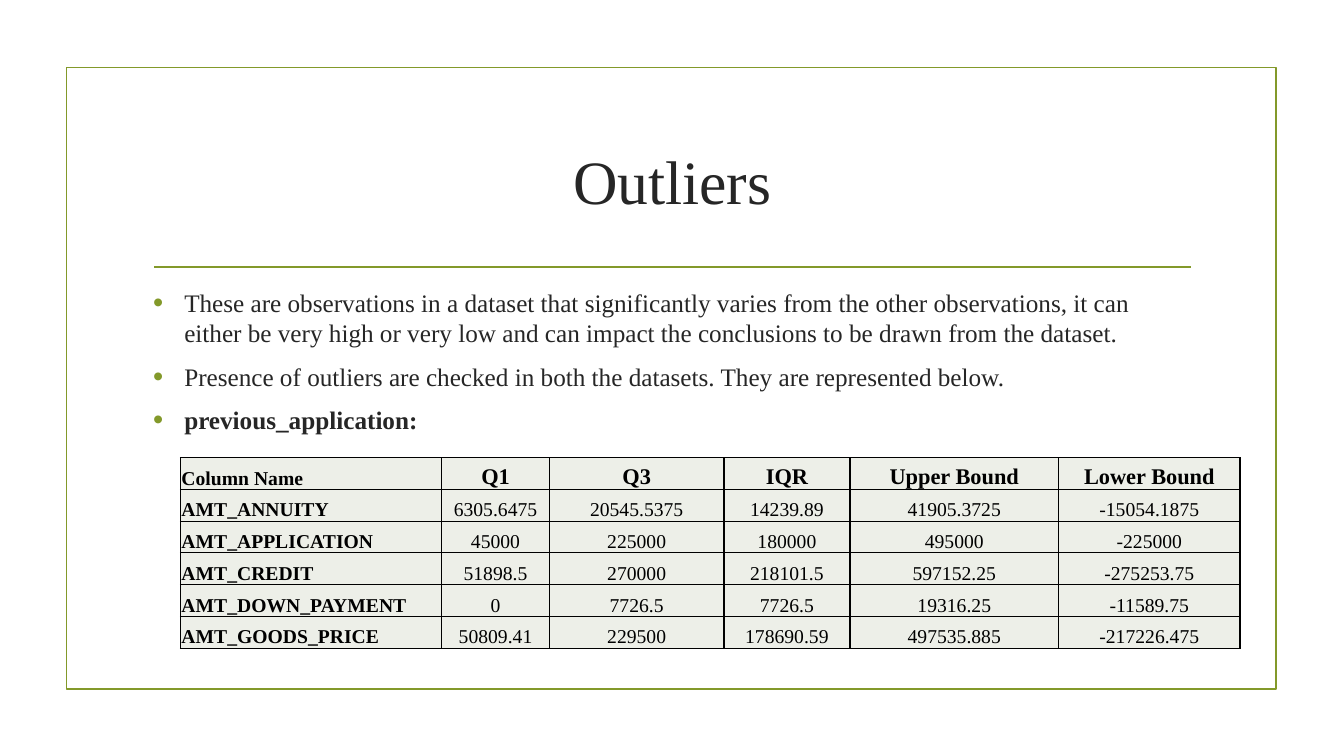
from dataclasses import dataclass

from lxml.etree import SubElement
from pptx import Presentation
from pptx.dml.color import RGBColor
from pptx.enum.shapes import MSO_CONNECTOR, MSO_SHAPE
from pptx.enum.text import MSO_ANCHOR, PP_ALIGN
from pptx.oxml import parse_xml
from pptx.oxml.ns import nsdecls, qn
from pptx.util import Emu, Inches, Pt

WIDE, HIGH = Inches(13.33), Inches(7.5)
FONT = "Times New Roman"
GREEN, INK, BLACK, PALE = "83992A", "262626", "000000", "EDEFE8"


def across(share: float) -> Emu:
    """Percent of the slide's width."""
    return Emu(round(WIDE * share / 100))


def down(share: float) -> Emu:
    """Percent of the slide's height."""
    return Emu(round(HIGH * share / 100))


@dataclass
class Box:
    """Left, top, width and height as percent of the slide."""
    x: float
    y: float
    w: float
    h: float

    def place(self) -> tuple[Emu, Emu, Emu, Emu]:
        return across(self.x), down(self.y), across(self.w), down(self.h)


@dataclass
class Point:
    text: str
    bold: bool = False


FRAME = Box(4.95, 8.93, 90.02, 82.27)
TITLE = Box(10.65, 14.27, 78.77, 19.07)
BODY = Box(10.65, 37.33, 78.77, 48.4)
GRID = Box(13.43, 60.53, 78.85, 25.2)
RULE = Box(11.48, 35.33, 77.12, 0)

POINTS = [
    Point("These are observations in a dataset that significantly varies from "
          "the other observations, it can either be very high or very low and "
          "can impact the conclusions to be drawn from the dataset."),
    Point("Presence of outliers are checked in both the datasets. "
          "They are represented below."),
    Point("previous_application:", bold=True),
]

COLS = [19.43, 8.03, 12.98, 9.38, 15.53, 13.5]
ROWS = [
    ["Column Name", "Q1", "Q3", "IQR", "Upper Bound", "Lower Bound"],
    ["AMT_ANNUITY", "6305.6475", "20545.5375", "14239.89", "41905.3725", "-15054.1875"],
    ["AMT_APPLICATION", "45000", "225000", "180000", "495000", "-225000"],
    ["AMT_CREDIT", "51898.5", "270000", "218101.5", "597152.25", "-275253.75"],
    ["AMT_DOWN_PAYMENT", "0", "7726.5", "7726.5", "19316.25", "-11589.75"],
    ["AMT_GOODS_PRICE", "50809.41", "229500", "178690.59", "497535.885", "-217226.475"],
]


def paint(hue: str) -> RGBColor:
    return RGBColor.from_string(hue)


def style(para, size: float, hue: str, bold: bool = False) -> None:
    font = para.font
    font.name, font.size, font.bold = FONT, Pt(size), bold
    font.color.rgb = paint(hue)


def stroke(shape) -> None:
    shape.line.color.rgb = paint(GREEN)
    shape.line.width = Pt(1.25)


def add_frame(slide) -> None:
    frame = slide.shapes.add_shape(MSO_SHAPE.RECTANGLE, *FRAME.place())
    frame.shadow.inherit = False
    frame.fill.background()
    stroke(frame)


def add_rule(slide) -> None:
    x, y, w, h = RULE.place()
    rule = slide.shapes.add_connector(MSO_CONNECTOR.STRAIGHT, x, y, x + w, y + h)
    stroke(rule)
    SubElement(rule.element.spPr, qn("a:effectLst"))


def add_title(slide) -> None:
    title = slide.shapes.title
    title.left, title.top, title.width, title.height = TITLE.place()
    title.text_frame.text = "Outliers"
    title.text_frame.vertical_anchor = MSO_ANCHOR.MIDDLE
    para = title.text_frame.paragraphs[0]
    para.alignment = PP_ALIGN.CENTER
    style(para, 44, INK)


def add_bullet(para) -> None:
    props = para._p.get_or_add_pPr()
    props.set("marL", str(Inches(0.31)))
    props.set("indent", str(-Inches(0.31)))
    tint = SubElement(props, qn("a:buClr"))
    SubElement(tint, qn("a:srgbClr"), val=GREEN)
    SubElement(props, qn("a:buSzPct"), val="115000")
    SubElement(props, qn("a:buFont"), typeface="Arial")
    SubElement(props, qn("a:buChar"), char="•")


def add_points(slide) -> None:
    frame = slide.shapes.add_textbox(*BODY.place()).text_frame
    frame.word_wrap = True
    for i, point in enumerate(POINTS):
        para = frame.add_paragraph() if i else frame.paragraphs[0]
        para.text = point.text
        para.space_before, para.space_after = Pt(3.6), Pt(6)
        add_bullet(para)
        style(para, 18, INK, point.bold)


def edge(cell) -> None:
    """Draw a thin black border on all four sides."""
    props = cell._tc.get_or_add_tcPr()
    for i, side in enumerate(("lnL", "lnR", "lnT", "lnB")):
        props.insert(i, parse_xml(
            f'<a:{side} {nsdecls("a")} w="{Pt(1)}"><a:solidFill>'
            f'<a:srgbClr val="{BLACK}"/></a:solidFill></a:{side}>'))


def fill_cell(cell, text: str, head: bool, label: bool) -> None:
    cell.text = text
    cell.fill.solid()
    cell.fill.fore_color.rgb = paint(PALE)
    cell.margin_left = cell.margin_right = cell.margin_top = Inches(0.01)
    cell.margin_bottom = 0
    cell.vertical_anchor = MSO_ANCHOR.BOTTOM
    para = cell.text_frame.paragraphs[0]
    para.alignment = PP_ALIGN.LEFT if label else PP_ALIGN.CENTER
    style(para, 16 if head and not label else 14, BLACK, head or label)
    edge(cell)


def add_grid(slide) -> None:
    table = slide.shapes.add_table(len(ROWS), len(COLS), *GRID.place()).table
    for col, share in zip(table.columns, COLS):
        col.width = across(share)
    for r, row in enumerate(ROWS):
        table.rows[r].height = down(GRID.h / len(ROWS))
        for c, text in enumerate(row):
            fill_cell(table.cell(r, c), text, head=r == 0, label=c == 0)


def main() -> None:
    deck = Presentation()
    deck.slide_width, deck.slide_height = WIDE, HIGH
    slide = deck.slides.add_slide(deck.slide_layouts.get_by_name("Title Only"))
    for draw in (add_frame, add_rule, add_title, add_points, add_grid):
        draw(slide)
    deck.save("out.pptx")


if __name__ == "__main__":
    main()
